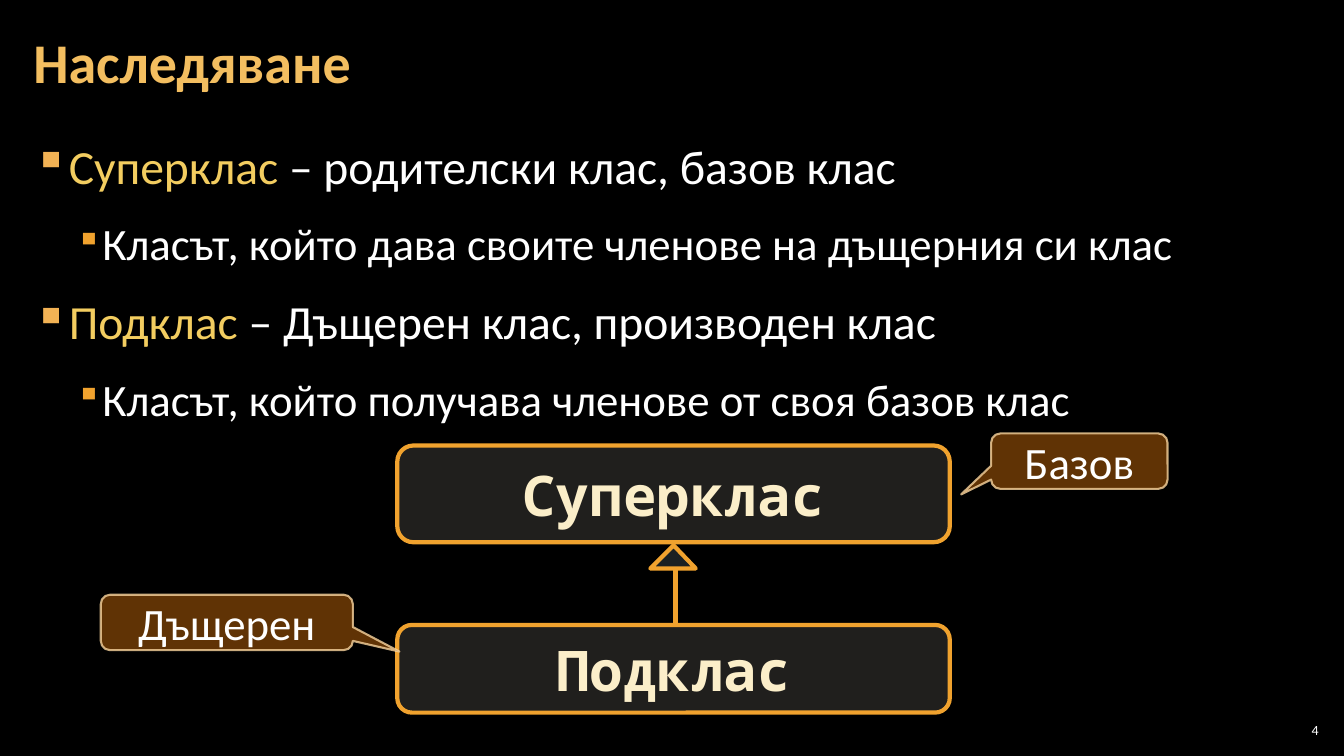
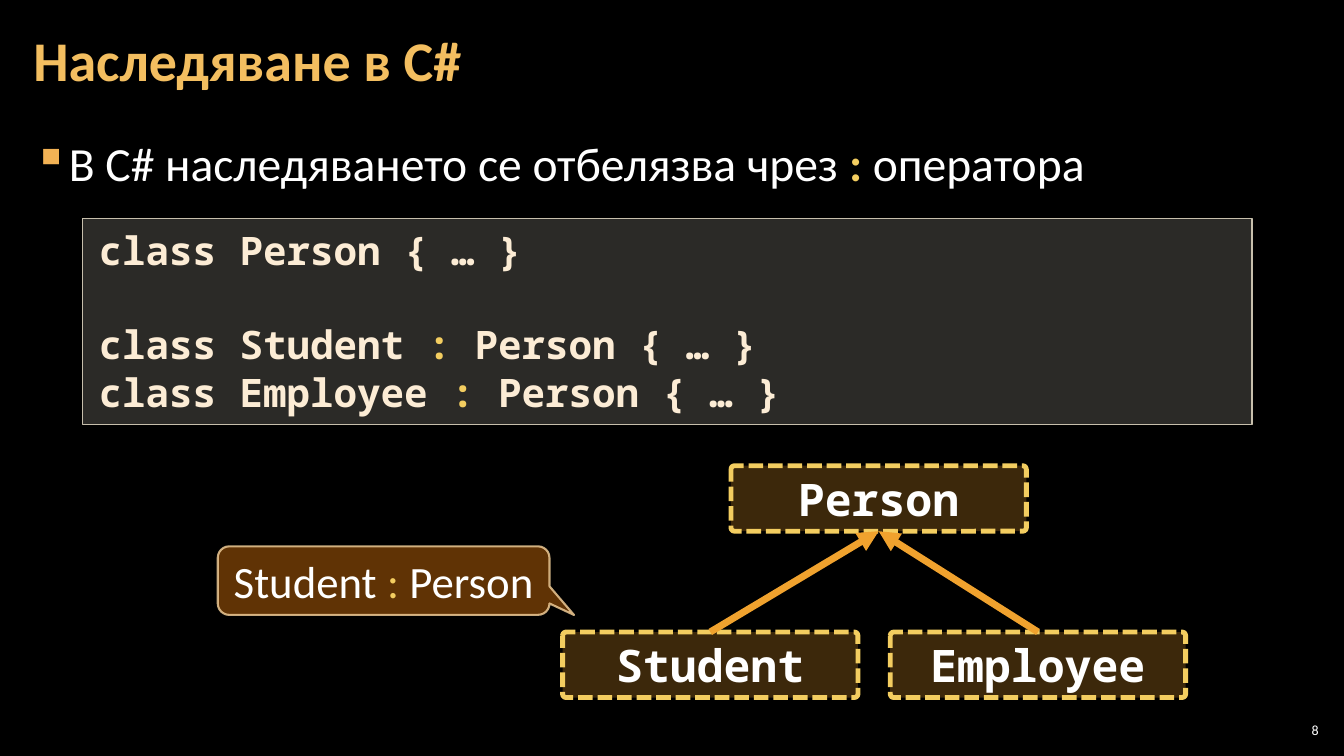
import lxml.etree
import pptx
import pptx.dml.color
import pptx.enum.dml
import pptx.enum.shapes
import pptx.enum.text
import pptx.oxml.ns
import pptx.util

Inches = pptx.util.Inches
Pt = pptx.util.Pt
SHAPE = pptx.enum.shapes.MSO_SHAPE
ALIGN = pptx.enum.text.PP_ALIGN
ANCHOR = pptx.enum.text.MSO_ANCHOR
qn = pptx.oxml.ns.qn

COLORS = {
    "background": "000000", "text": "FFFFFF", "title": "F3BE60",
    "accent": "F3CD60", "orange": "F0A22E", "bullet": "F2B254",
    "cream": "FBEEC9", "code": "FCECD5", "sand": "D9D5C7",
    "code_line": "C7BFAC", "arrowhead": "B5DBE5",
    "callout": "663606", "callout_line": "F8D49E",
}
BODY_FONT, CODE_FONT = "Calibri", "Noto Sans Mono"
TITLE_ONLY = 5

# Text styles: font values and colour
STYLES = {
    "title": ({"name": BODY_FONT, "size": Pt(40), "bold": True}, "title"),
    "level0": ({"name": BODY_FONT, "size": Pt(34), "bold": False}, "text"),
    "level1": ({"name": BODY_FONT, "size": Pt(32), "bold": False}, "text"),
    "callout": ({"name": BODY_FONT, "size": Pt(32)}, "text"),
    "number": ({"name": BODY_FONT, "size": Pt(10)}, "text"),
    "class": ({"name": CODE_FONT, "size": Pt(40), "bold": True}, "cream"),
    "type": ({"name": CODE_FONT, "size": Pt(32), "bold": True}, "text"),
    "code": ({"name": CODE_FONT, "size": Pt(28), "bold": True}, "code"),
}


def rgb(name):
    return pptx.dml.color.RGBColor.from_string(COLORS[name])


def set_alpha(fill_parent, percent):
    color = fill_parent.find(qn("a:solidFill"))[0]
    lxml.etree.SubElement(color, qn("a:alpha"), val=str(percent * 1000))


class SlideBuilder:
    """Holds the deck style and the slide being filled."""

    def __init__(self):
        self.deck = pptx.Presentation()
        self.deck.slide_width = Inches(13.33)
        self.deck.slide_height = Inches(7.5)
        fill = self.deck.slide_master.background.fill
        fill.solid()
        fill.fore_color.rgb = rgb("background")
        self.page = None

    def start(self, title, number, title_spacing):
        layout = self.deck.slide_layouts[TITLE_ONLY]
        self.page = self.deck.slides.add_slide(layout)
        box = self.page.shapes.title
        box.left, box.top = Inches(0.21), Inches(0.04)
        box.width, box.height = Inches(12.91), Inches(1.21)
        self.frame(box, ANCHOR.MIDDLE, 0.12, 0.04)
        self.add_text(box.text_frame.paragraphs[0], title, "title",
                      line_spacing=title_spacing, alignment=ALIGN.LEFT)
        box = self.text_box(12.65, 7.14, 0.47, 0.21, ANCHOR.MIDDLE, 0.04)
        self.add_text(box.text_frame.paragraphs[0], str(number), "number",
                      alignment=ALIGN.RIGHT)

    def frame(self, box, anchor, side=0.1, edge=0.05):
        values = {
            "word_wrap": True, "auto_size": pptx.enum.text.MSO_AUTO_SIZE.NONE,
            "vertical_anchor": anchor,
            "margin_left": Inches(side), "margin_right": Inches(side),
            "margin_top": Inches(edge), "margin_bottom": Inches(edge),
        }
        for key, value in values.items():
            setattr(box.text_frame, key, value)

    def add_text(self, para, text, style, accent_bold=None, **layout):
        """Fill a paragraph; text between bars takes the accent colour."""
        for key, value in layout.items():
            setattr(para, key, value)
        values, color = STYLES[style]
        for index, part in enumerate(text.split("|")):
            if not part:
                continue
            accented = index % 2 == 1
            span = para.add_run()
            span.text = part
            for key, value in values.items():
                setattr(span.font, key, value)
            if accented and accent_bold is not None:
                span.font.bold = accent_bold
            span.font.color.rgb = rgb("accent" if accented else color)

    def text_box(self, left, top, width, height, anchor, side):
        box = self.page.shapes.add_textbox(
            Inches(left), Inches(top), Inches(width), Inches(height))
        self.frame(box, anchor, side, 0.04)
        return box

    def bullets(self, items, spacing, accent_bold=None):
        box = self.text_box(0.21, 1.26, 12.91, 6.09, ANCHOR.TOP, 0.12)
        for index, (level, text) in enumerate(items):
            frame = box.text_frame
            para = frame.add_paragraph() if index else frame.paragraphs[0]
            self.add_text(para, text, f"level{level}", accent_bold,
                          level=level, line_spacing=spacing,
                          space_before=Pt(6), space_after=Pt(6),
                          alignment=ALIGN.LEFT)
            indent, hang, color, size = (
                (0.33, 0.33, "bullet", 100), (0.67, 0.25, "orange", 80))[level]
            props = para._p.get_or_add_pPr()
            props.set("marL", str(Inches(indent)))
            props.set("indent", str(-Inches(hang)))
            bullet_color = lxml.etree.SubElement(props, qn("a:buClr"))
            lxml.etree.SubElement(
                bullet_color, qn("a:srgbClr"), val=COLORS[color])
            lxml.etree.SubElement(
                props, qn("a:buSzPct"), val=str(size * 1000))
            lxml.etree.SubElement(props, qn("a:buChar"), char="▪")

    def paint(self, shape, fill, alpha, line, width, line_alpha=100):
        shape.shadow.inherit = False
        shape.fill.solid()
        shape.fill.fore_color.rgb = rgb(fill)
        shape.line.color.rgb = rgb(line)
        shape.line.width = Pt(width)
        props = shape._element.spPr
        set_alpha(props, alpha)
        if line_alpha < 100:
            set_alpha(props.find(qn("a:ln")), line_alpha)

    def shape(self, kind, left, top, width, height, adjustments=()):
        shape = self.page.shapes.add_shape(
            kind, Inches(left), Inches(top), Inches(width), Inches(height))
        for index, value in enumerate(adjustments):
            shape.adjustments[index] = value
        return shape

    def label(self, shape, text, style, anchor):
        self.frame(shape, anchor)
        self.add_text(shape.text_frame.paragraphs[0], text, style,
                      alignment=ALIGN.CENTER)

    def class_box(self, text, top, height):
        box = self.shape(SHAPE.ROUNDED_RECTANGLE, 3.94, top, 5.48, height)
        self.paint(box, "sand", 15, "orange", 3)
        self.label(box, text, "class", ANCHOR.MIDDLE)

    def type_box(self, text, left, top):
        box = self.shape(
            SHAPE.ROUNDED_RECTANGLE, left, top, 2.93, 0.65, [0.054])
        self.paint(box, "orange", 25, "accent", 3.5)
        box.line.dash_style = pptx.enum.dml.MSO_LINE.SQUARE_DOT
        self.label(box, text, "type", ANCHOR.TOP)
        return box

    def callout(self, text, left, top, width, height, tip):
        box = self.shape(SHAPE.ROUNDED_RECTANGULAR_CALLOUT,
                         left, top, width, height, [*tip, 0.167])
        self.paint(box, "callout", 95, "callout_line", 1.5, 80)
        self.label(box, text, "callout", ANCHOR.MIDDLE)

    def code_box(self, lines, left, top, width, height):
        box = self.shape(SHAPE.RECTANGLE, left, top, width, height)
        self.paint(box, "sand", 20, "code_line", 1)
        self.frame(box, ANCHOR.TOP, 0.16, 0.08)
        for index, (text, gap) in enumerate(lines):
            frame = box.text_frame
            para = frame.add_paragraph() if index else frame.paragraphs[0]
            self.add_text(para, text, "code", alignment=ALIGN.LEFT,
                          space_after=Pt(gap))

    def line(self, start, end, width):
        line = self.page.shapes.add_connector(
            pptx.enum.shapes.MSO_CONNECTOR.STRAIGHT,
            *map(Inches, start), *map(Inches, end))
        line.line.color.rgb = rgb("orange")
        line.line.width = Pt(width)
        lxml.etree.SubElement(line._element.spPr, qn("a:effectLst"))
        return line

    def arrow(self, child, parent):
        """Point from the top of child to the bottom of parent."""
        arrow = self.line((0, 0), (1, 1), 5)
        arrow.begin_connect(child, 0)
        arrow.end_connect(parent, 2)
        outline = arrow._element.spPr.find(qn("a:ln"))
        lxml.etree.SubElement(outline, qn("a:tailEnd"), type="triangle")

    def triangle(self, points):
        corners = [tuple(map(Inches, point)) for point in points]
        outline = self.page.shapes.build_freeform(*corners[0])
        outline.add_line_segments(corners[1:], close=True)
        self.paint(outline.convert_to_shape(), "arrowhead", 15, "orange", 3)


builder = SlideBuilder()

# Superclass and subclass
builder.start("Наследяване", 4, 0.9)
builder.bullets([
    (0, "|Суперклас |– родителски клас, базов клас"),
    (1, "Класът, който дава своите членове на дъщерния си клас"),
    (0, "|Подклас |– Дъщерен клас, производен клас"),
    (1, "Класът, който получава членове от своя базов клас"),
], 1.1)
builder.class_box("Суперклас", 4.42, 0.96)
builder.class_box("Подклас", 6.2, 0.87)
builder.line((6.7, 5.63), (6.7, 6.21), 3)
builder.triangle([(6.45, 5.64), (6.9, 5.64), (6.68, 5.41)])
builder.callout("Дъщерен", 1, 5.9, 2.5, 0.55, (0.685, 0.526))
builder.callout("Базов", 9.83, 4.3, 1.75, 0.55, (-0.67, 0.6))

# Inheritance syntax
builder.start("Наследяване в C#", 8, Pt(40))
builder.bullets(
    [(0, "В C# наследяването се отбелязва чрез\u00a0|:\u00a0|оператора")],
    1.05, accent_bold=True)
builder.code_box([
    ("class Person { … }", 33.5),
    ("class Student |:| Person { … }", 0),
    ("class Employee |:| Person { … }", 0),
], 0.82, 2.17, 11.6, 2.04)
person = builder.type_box("Person", 7.25, 4.62)
for name, left in (("Student", 5.58), ("Employee", 8.83)):
    builder.arrow(builder.type_box(name, left, 6.27), person)
builder.callout("Student |:| Person", 2.16, 5.42, 3.29, 0.68, (0.574, 0.502))

builder.deck.save("out.pptx")
